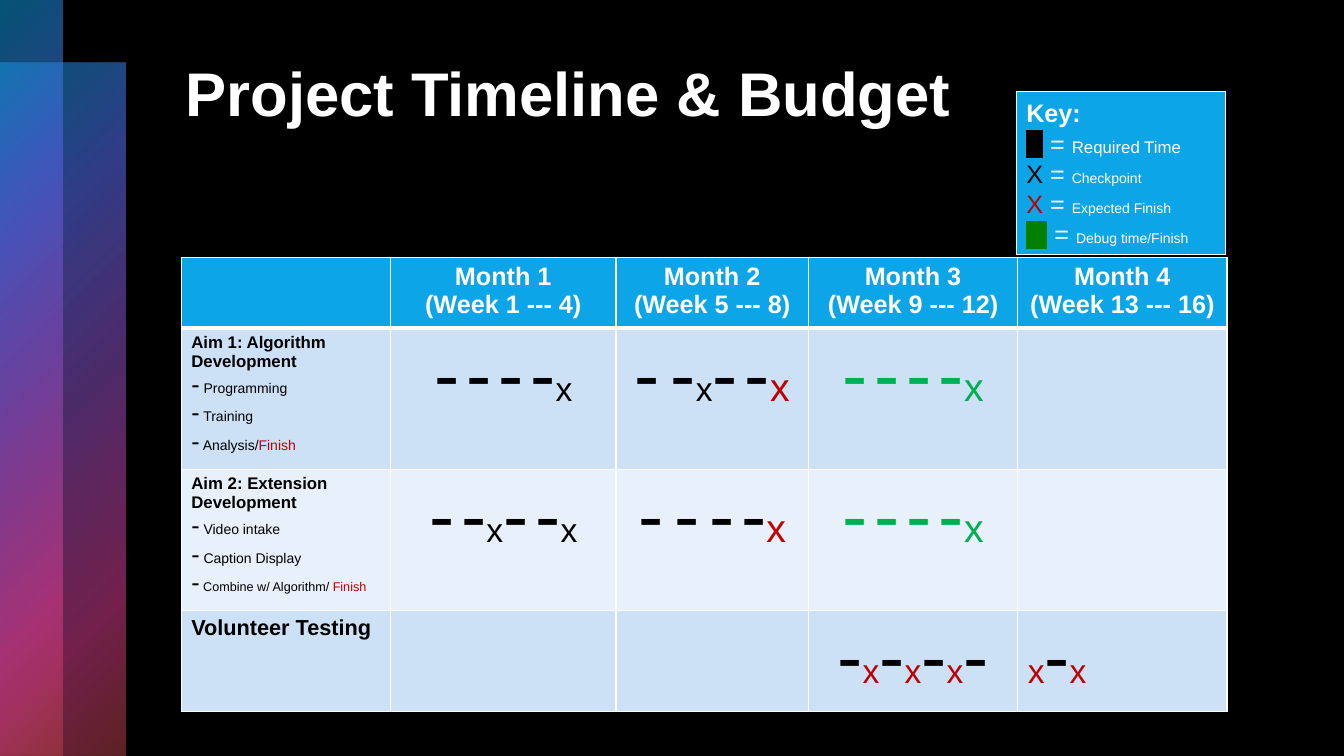
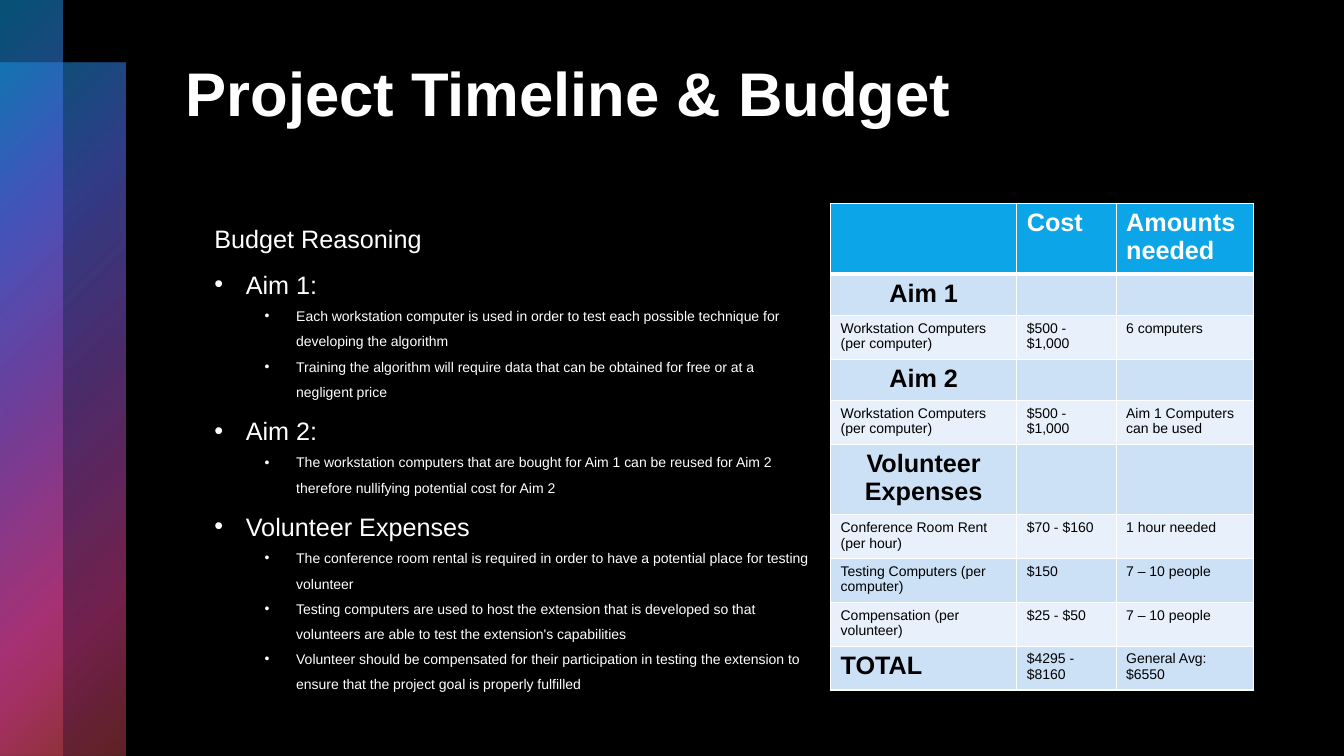
from lxml import etree
from pptx import Presentation
from pptx.dml.color import RGBColor
from pptx.enum import shapes, text
from pptx.oxml import parse_xml
from pptx.oxml.ns import nsdecls, qn
from pptx.util import Pt

FONT = "Arial"
BLACK, WHITE, RED, GREEN = "000000", "FFFFFF", "C00000", "00B050"
BLUE, PALE, PALER, DEBUG_GREEN = "0BA5E8", "CCE1F6", "E7F0FB", "008000"
LEFT, CENTER = text.PP_ALIGN.LEFT, text.PP_ALIGN.CENTER

TITLE = "Project Timeline & Budget"
BANDS = [((0, 44.5, 90, 495.5), 50), ((0, 0, 45, 540), 49)]
STOPS = [(0, BLUE, 50), (25, "5066E1", 60), (None, "894EC0", 55),
         (81, "E54196", 50), (99, "BE4449", 50)]

MONTHS = [("Month 1", "(Week 1 --- 4)"), ("Month 2", "(Week 5 --- 8)"),
          ("Month 3", "(Week 9 --- 12)"), ("Month 4", "(Week 13 --- 16)")]
MARKS = {
    "-": ("-", 54, BLACK), "_": (" ", 18, BLACK), "m": (" ", 24, BLACK),
    "w": (" ", 28, BLACK), "x": ("x", 24, BLACK), "r": ("x", 24, RED),
    "R": ("x", 28, RED), "g": ("-", 54, GREEN), "G": ("x", 28, GREEN),
}
TIMELINE = [
    ("Aim 1: Algorithm Development", 12,
     [(" Programming", 10, ""), (" Training", 10, ""), (" Analysis/", 10, "Finish")],
     ["-_-_-_-x", "-w-x-_-R", "g_g_g_gG", ""]),
    ("Aim 2: Extension Development", 12,
     [(" Video intake", 10, ""), (" Caption Display", 10, ""),
      (" Combine w/ Algorithm/", 9, " Finish")],
     ["-_-x-_-x", "-w-m-_-R", "g_g_g_gG", ""]),
    ("Volunteer Testing", 15.5, [], ["", "", "-r-r-r-", "r-r"]),
]
TIMELINE_COLUMNS = [149.5, 161, 137.5, 149.5, 149.5]
ROW_HEIGHT = 29.5
TIMELINE_HEIGHTS = [ROW_HEIGHT, ROW_HEIGHT, 80.5, ROW_HEIGHT]

KEY = [("S", BLACK, BLACK, "Required Time", 12),
       ("X", BLACK, None, "Checkpoint", 10),
       ("X", RED, None, "Expected Finish", 10),
       ("   ", GREEN, DEBUG_GREEN, "Debug time/Finish", 10)]

COMPUTERS = "Workstation Computers (per computer)"
BUDGET = [
    ("", "Cost", "Amounts needed"),
    ("Aim 1", "", ""),
    (COMPUTERS, "$500 - $1,000", "6 computers"),
    ("Aim 2", "", ""),
    (COMPUTERS, "$500 - $1,000", "Aim 1 Computers can be used"),
    ("Volunteer Expenses", "", ""),
    ("Conference Room Rent (per hour)", "$70 - $160", "1 hour needed"),
    ("Testing Computers (per computer)", "$150", "7 – 10 people"),
    ("Compensation (per volunteer)", "$25 - $50", "7 – 10 people"),
    ("TOTAL", "$4295 - $8160", "General Avg: $6550"),
]
BUDGET_COLUMNS = [133, 71, 98]
BUDGET_HEIGHTS = [ROW_HEIGHT] * len(BUDGET)

REASONS = [
    ("Aim 1:", [
        "Each workstation computer is used in order to test each possible technique for developing the algorithm",
        "Training the algorithm will require data that can be obtained for free or at a negligent price"]),
    ("Aim 2:", [
        "The workstation computers that are bought for Aim 1 can be reused for Aim 2 therefore nullifying potential cost for Aim 2"]),
    ("Volunteer Expenses", [
        "The conference room rental is required in order to have a potential place for testing volunteer",
        "Testing computers are used to host the extension that is developed so that volunteers are able to test the extension's capabilities",
        "Volunteer should be compensated for their participation in testing the extension to ensure that the project goal is properly fulfilled"]),
]


def color(value):
    return RGBColor.from_string(value)


def points(values):
    return [Pt(value) for value in values]


def write(frame, lines, align=LEFT, spacing=None):
    for index, spans in enumerate(lines):
        para = frame.add_paragraph() if index else frame.paragraphs[0]
        para.alignment = align
        para.line_spacing = spacing
        for words, size, tint, bold in spans:
            span = para.add_run()
            span.text = words
            span.font.name, span.font.size, span.font.bold = FONT, Pt(size), bold
            span.font.color.rgb = color(tint)


def highlight(span, tint):
    mark = parse_xml(f'<a:highlight {nsdecls("a")}><a:srgbClr val="{tint}"/></a:highlight>')
    span.font.fill._xPr.find(qn("a:solidFill")).addnext(mark)


def add_text(page, place, lines, spacing=None):
    box = page.shapes.add_textbox(*points(place))
    box.text_frame.word_wrap = True
    write(box.text_frame, lines, spacing=spacing)
    return box


def add_band(page, place, middle):
    band = page.shapes.add_shape(shapes.MSO_SHAPE.RECTANGLE, *points(place))
    band.shadow.inherit = False
    band.line.fill.background()
    stops = "".join(
        f'<a:gs pos="{(middle if at is None else at) * 1000}"><a:srgbClr val="{tint}">'
        f'<a:alpha val="{alpha * 1000}"/></a:srgbClr></a:gs>' for at, tint, alpha in STOPS)
    gradient = parse_xml(
        f'<a:gradFill {nsdecls("a")} rotWithShape="1"><a:gsLst>{stops}</a:gsLst>'
        '<a:path path="circle"><a:fillToRect r="100000" b="100000"/></a:path></a:gradFill>')
    band._element.spPr.find(qn("a:prstGeom")).addnext(gradient)


def add_page(deck):
    page = deck.slides.add_slide(deck.slide_layouts[6])
    page.background.fill.solid()
    page.background.fill.fore_color.rgb = color(BLACK)
    for place, middle in BANDS:
        add_band(page, place, middle)
    add_text(page, (125.5, 35.5, 746.5, 122), [[(TITLE, 44, WHITE, True)]])
    return page


def style_cell(cell, row):
    widths = {"lnL": 1, "lnR": 1, "lnT": 3 if row == 1 else 1, "lnB": 1 if row else 3}
    for side, width in widths.items():
        edge = etree.SubElement(cell._tc.get_or_add_tcPr(), qn(f"a:{side}"), w=str(Pt(width)))
        fill = etree.SubElement(edge, qn("a:solidFill"))
        etree.SubElement(fill, qn("a:srgbClr"), val=WHITE)
    cell.fill.solid()
    cell.fill.fore_color.rgb = color(BLUE if row == 0 else PALE if row % 2 else PALER)


def add_grid(page, left, top, columns, heights):
    place = points((left, top, sum(columns), sum(heights)))
    table = page.shapes.add_table(len(heights), len(columns), *place).table
    for column, width in zip(table.columns, columns):
        column.width = Pt(width)
    for index, height in enumerate(heights):
        table.rows[index].height = Pt(height)
        for cell in table.rows[index].cells:
            style_cell(cell, index)
    return table


def add_timeline(page):
    table = add_grid(page, 129.5, 184, TIMELINE_COLUMNS, TIMELINE_HEIGHTS)
    for col, lines in enumerate(MONTHS, 1):
        write(table.cell(0, col).text_frame,
              [[(line, 18, WHITE, True)] for line in lines], CENTER)
    for row, (heading, size, tasks, months) in enumerate(TIMELINE, 1):
        lines = [[(heading, size, BLACK, True)]]
        for task, task_size, finish in tasks:
            spans = [("-", 18, BLACK, False), (task, task_size, BLACK, False)]
            if finish:
                spans.append((finish, task_size, RED, False))
            lines.append(spans)
        write(table.cell(row, 0).text_frame, lines)
        for col, marks in enumerate(months, 1):
            if marks:
                write(table.cell(row, col).text_frame,
                      [[(*MARKS[mark], False) for mark in marks]],
                      LEFT if col == len(months) else CENTER)


def add_key(page):
    box = page.shapes.add_shape(shapes.MSO_SHAPE.RECTANGLE, *points((726, 65.5, 149.5, 116.5)))
    box.shadow.inherit = False
    box.fill.solid()
    box.fill.fore_color.rgb = color(BLUE)
    box.line.color.rgb = color(WHITE)
    box.line.width = Pt(0.75)
    lines = [[("Key:", 18, WHITE, True)]]
    lines += [[(symbol, 18, tint, False), (" = ", 18, WHITE, False), (label, size, WHITE, False)]
              for symbol, tint, _, label, size in KEY]
    write(box.text_frame, lines)
    for para, (_, _, shade, _, _) in zip(box.text_frame.paragraphs[1:], KEY):
        if shade:
            highlight(para.runs[0], shade)


def add_budget(page):
    table = add_grid(page, 593.3, 145.4, BUDGET_COLUMNS, BUDGET_HEIGHTS)
    for row, entries in enumerate(BUDGET):
        section = not any(entries[1:])
        for col, entry in enumerate(entries):
            if entry:
                strong = row == 0 or section or entry == "TOTAL"
                span = (entry, 18 if strong else 10, BLACK if row else WHITE, strong)
                write(table.cell(row, col).text_frame, [[span]], CENTER if section else LEFT)


def add_reasons(page):
    items = [("Budget Reasoning", 18, 0)]
    for heading, reasons in REASONS:
        items.append((heading, 18, 22.5))
        items += [(reason, 10, 58.5) for reason in reasons]
    lines = [[(words, size, WHITE, False)] for words, size, _ in items]
    box = add_text(page, (146, 145.4, 438.5, 354), lines, 1.5)
    for para, (_, _, margin) in zip(box.text_frame.paragraphs, items):
        if margin:
            layout = para._p.get_or_add_pPr()
            layout.set("marL", str(Pt(margin)))
            layout.set("indent", str(Pt(-22.5)))
            etree.SubElement(layout, qn("a:buFont"), typeface=FONT)
            etree.SubElement(layout, qn("a:buChar"), char="•")


def main():
    deck = Presentation()
    deck.slide_width, deck.slide_height = Pt(960), Pt(540)
    timeline_page = add_page(deck)
    add_timeline(timeline_page)
    add_key(timeline_page)
    budget_page = add_page(deck)
    add_budget(budget_page)
    add_reasons(budget_page)
    deck.save("out.pptx")


if __name__ == "__main__":
    main()
